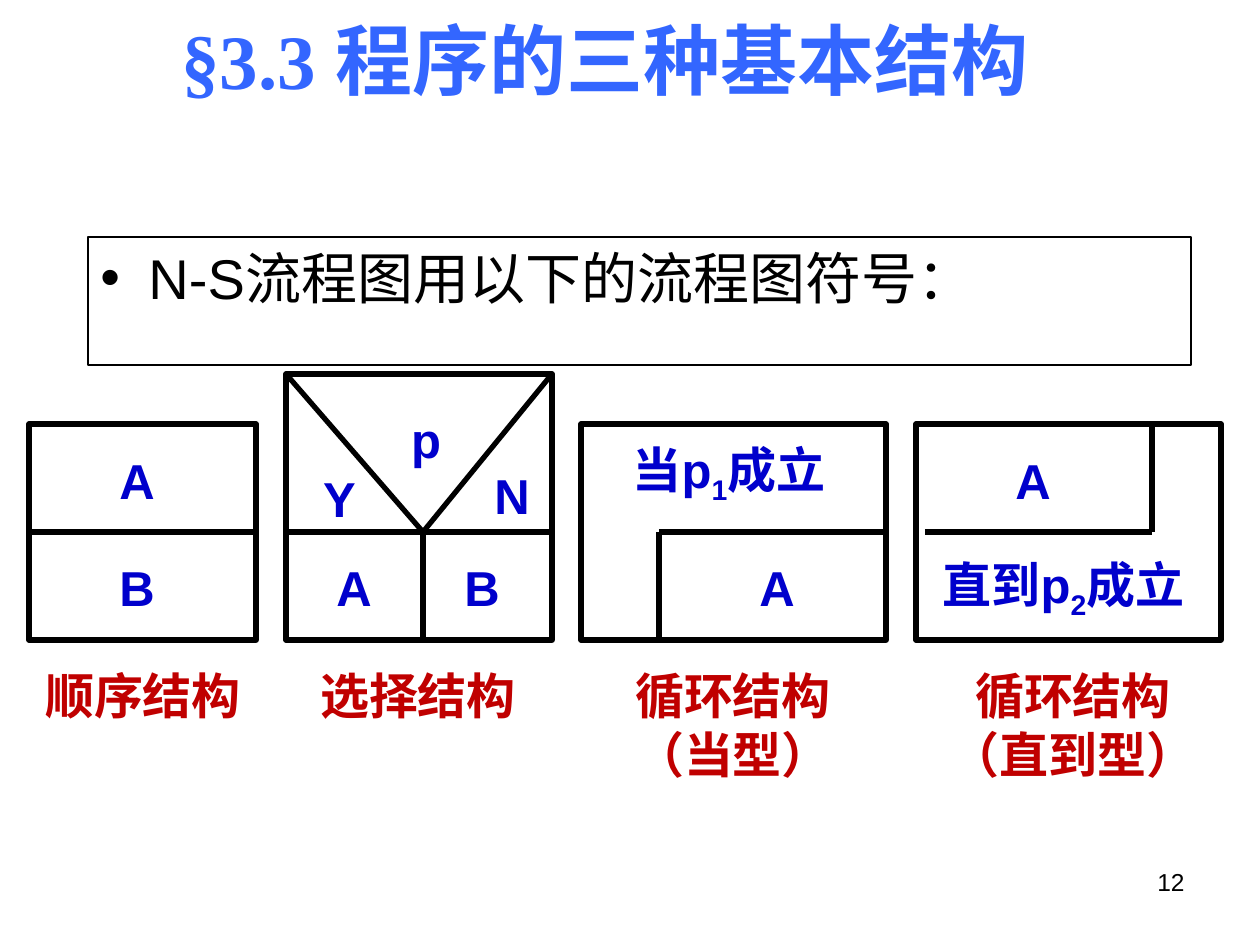
import pptx
import pptx.util
import pptx.dml.color
import pptx.enum.shapes
import pptx.enum.text
from lxml import etree

PX = 914400 / 126
ALIGN = pptx.enum.text.PP_ALIGN
SHAPE = pptx.enum.shapes.MSO_SHAPE

THEME = {
    "ink": "000000",
    "paper": "FFFFFF",
    "title": dict(size=44, name="Times New Roman", color="3366FF", bold=True),
    "body": dict(size=32, name="Arial", color="000000", bold=False),
    "label": dict(size=28, name="Arial", color="0000CC", bold=True),
    "caption": dict(size=28, name="Arial", color="C00000", bold=True),
    "number": dict(size=14, name="Arial", color="000000", bold=False),
}

# Content: boxes are (left, top, width, height) in px, lines (x1, y1, x2, y2)
TITLE = ("§3.3 程序的三种基本结构", (134, 6, 942, 106))
BODY = ("N-S流程图用以下的流程图符号：", (88, 237, 1103, 128))
NUMBER = ("12", (903, 861, 294, 66))

TOP, MIDDLE, BOTTOM = 424, 532, 640
CHOICE_TOP = 374
UPPER, LOWER = 444, 551  # label tops in the two halves
LETTER_W, LETTER_H = 98, 72
CAPTION_TOP = 659

DIAGRAMS = [
    {   # sequence
        "frame": (29, TOP, 227, BOTTOM - TOP),
        "lines": [(29, MIDDLE, 256, MIDDLE)],
        "labels": [("A", 88, UPPER, LETTER_W), ("B", 88, LOWER, LETTER_W)],
        "caption": (["顺序结构"], 20, 246),
    },
    {   # selection
        "frame": (286, CHOICE_TOP, 266, BOTTOM - CHOICE_TOP),
        "lines": [(286, MIDDLE, 552, MIDDLE), (286, CHOICE_TOP, 423, MIDDLE),
                  (552, CHOICE_TOP, 423, MIDDLE), (423, MIDDLE, 423, BOTTOM)],
        "labels": [("A", 305, LOWER, LETTER_W), ("B", 433, LOWER, LETTER_W),
                   ("Y", 305, 462, 69), ("N", 480, 459, 64), ("p", 394, 403, 64)],
        "caption": (["选择结构"], 295, 246),
    },
    {   # while loop
        "frame": (581, TOP, 305, BOTTOM - TOP),
        "lines": [(659, MIDDLE, 886, MIDDLE), (659, MIDDLE, 659, BOTTOM)],
        "labels": [("A", 728, LOWER, LETTER_W), (("当p", "1", "成立"), 601, 433, 256)],
        "caption": (["循环结构", "（当型）"], 610, 246),
    },
    {   # until loop
        "frame": (916, TOP, 305, BOTTOM - TOP),
        "lines": [(925, MIDDLE, 1152, MIDDLE), (1152, TOP, 1152, MIDDLE)],
        "labels": [("A", 984, UPPER, LETTER_W), (("直到p", "2", "成立"), 916, 548, 295)],
        "caption": (["循环结构（直到型）"], 935, 276),
    },
]


def emu(*lengths):
    return [pptx.util.Emu(round(length * PX)) for length in lengths]


def rgb(code):
    return pptx.dml.color.RGBColor.from_string(code)


def write_span(para, text, style, subscript=False):
    span = para.add_run()
    span.text = text
    values = {"size": pptx.util.Pt(style["size"]), "name": style["name"], "bold": style["bold"]}
    for key, value in values.items():
        setattr(span.font, key, value)
    span.font.color.rgb = rgb(style["color"])
    if subscript:
        span.font._element.set("baseline", "-25000")


def write_paras(box, paras, style, align):
    """Each paragraph is a string, or a (base, subscript, rest) tuple."""
    frame = box.text_frame
    frame.word_wrap = True
    frame.vertical_anchor = pptx.enum.text.MSO_ANCHOR.TOP
    for index, content in enumerate(paras):
        para = frame.paragraphs[0] if index == 0 else frame.add_paragraph()
        para.alignment = align
        parts = (content,) if isinstance(content, str) else content
        for position, text in enumerate(parts):
            write_span(para, text, style, subscript=position == 1)


def add_text(shapes, paras, place, style, align=ALIGN.CENTER):
    box = shapes.add_textbox(*emu(*place))
    write_paras(box, paras, style, align)
    return box


def add_box(shapes, kind, place, weight):
    box = shapes.add_shape(kind, *emu(*place))
    box.shadow.inherit = False
    box.line.color.rgb = rgb(THEME["ink"])
    box.line.width = pptx.util.Pt(weight)
    return box


def add_line(shapes, ends, frame, place):
    line = shapes.add_connector(pptx.enum.shapes.MSO_CONNECTOR.STRAIGHT, *emu(*ends))
    line.line.color.rgb = rgb(THEME["ink"])
    line.line.width = pptx.util.Pt(3)
    etree.SubElement(line._element.spPr, pptx.oxml.ns.qn("a:effectLst"))
    # Join the ends that meet the middle of a frame side
    left, top, width, height = place
    sides = {(left + width / 2, top): 0, (left, top + height / 2): 1,
             (left + width / 2, top + height): 2, (left + width, top + height / 2): 3}
    for point, connect in ((ends[:2], line.begin_connect), (ends[2:], line.end_connect)):
        if point in sides:
            connect(frame, sides[point])


def add_bullet(para):
    properties = para._p.get_or_add_pPr()
    indent = emu(48)[0]
    properties.set("marL", str(indent))
    properties.set("indent", str(-indent))
    for tag, key, value in (("a:buFont", "typeface", "Arial"), ("a:buChar", "char", "•")):
        etree.SubElement(properties, pptx.oxml.ns.qn(tag)).set(key, value)


def add_diagram(page, diagram):
    shapes = page.shapes.add_group_shape().shapes
    place = diagram["frame"]
    frame = add_box(shapes, SHAPE.FLOWCHART_PROCESS, place, 3)
    frame.fill.background()
    for ends in diagram["lines"]:
        add_line(shapes, ends, frame, place)
    for text, left, top, width in diagram["labels"]:
        add_text(shapes, [text], (left, top, width, LETTER_H), THEME["label"])


def main():
    deck = pptx.Presentation()
    deck.slide_width, deck.slide_height = emu(1260, 945)
    page = deck.slides.add_slide(deck.slide_layouts[6])

    # Page number and title
    add_text(page.shapes, [NUMBER[0]], NUMBER[1], THEME["number"], ALIGN.RIGHT)
    add_text(page.shapes, [TITLE[0]], TITLE[1], THEME["title"])

    # Bulleted statement
    body = add_box(page.shapes, SHAPE.RECTANGLE, BODY[1], 0.75)
    body.fill.solid()
    body.fill.fore_color.rgb = rgb(THEME["paper"])
    add_bullet(body.text_frame.paragraphs[0])
    write_paras(body, [BODY[0]], THEME["body"], ALIGN.LEFT)

    # Diagrams, then their captions
    for diagram in DIAGRAMS:
        add_diagram(page, diagram)
    for diagram in DIAGRAMS:
        paras, left, width = diagram["caption"]
        add_text(page.shapes, paras, (left, CAPTION_TOP, width, LETTER_H), THEME["caption"])

    deck.save("out.pptx")


if __name__ == "__main__":
    main()
